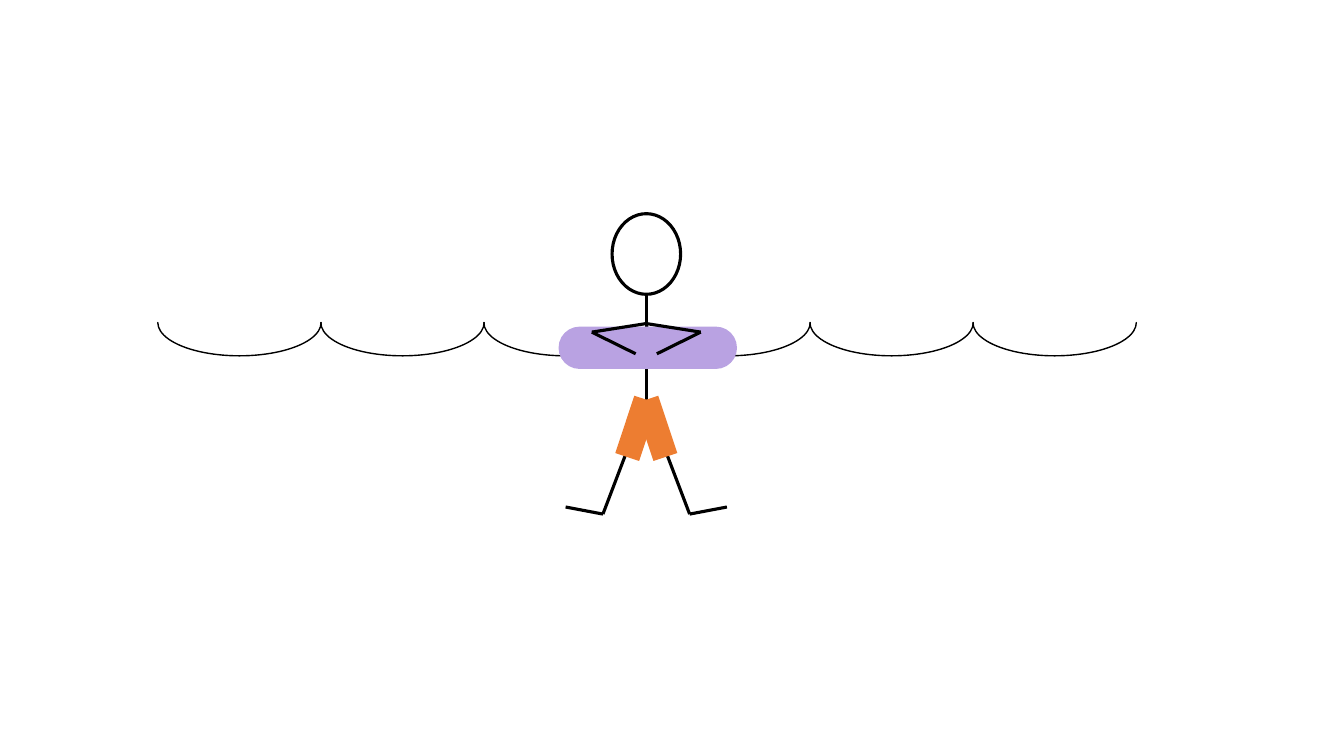
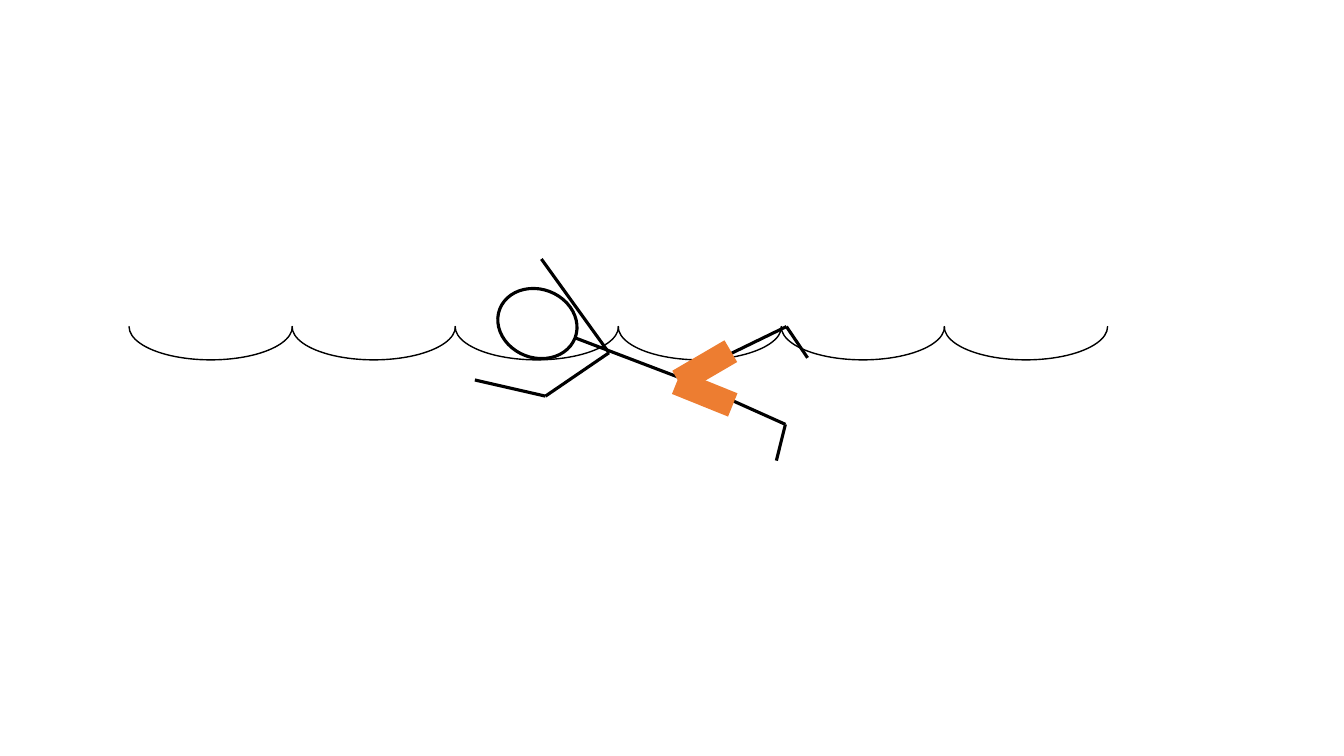
"""Build two slides of a stick figure swimming among waves."""
from lxml.etree import SubElement
from pptx import Presentation
from pptx.dml.color import RGBColor
from pptx.enum.shapes import MSO_CONNECTOR, MSO_SHAPE
from pptx.oxml.ns import qn
from pptx.util import Inches, Pt

THEME = {
    "ink": RGBColor.from_string("000000"),
    "shorts": RGBColor.from_string("ED7D31"),
    "ring": RGBColor.from_string("B9A2E2"),
    "wave_line": {"width": Pt(1)},
    "body_line": {"width": Pt(2.25)},
}

presentation = Presentation()
presentation.slide_width = Inches(13.33)
presentation.slide_height = Inches(7.5)
CELL = presentation.slide_height / 75
WAVE_COUNT, WAVE_PITCH = 6, 16.17
WAVE_SIZE, HEAD_SIZE, SHORTS_SIZE, RING_SIZE = (3.3, 16.2), (8, 6.8), (6, 2.5), (17.7, 4.2)


def add_part(parent, kind, center, size, rotation=0, fill=None, line_format=None):
    """Add a preset shape around its center, measured in grid cells."""
    left, top = (middle - extent / 2 for middle, extent in zip(center, size))
    box = [round(length * CELL) for length in (left, top, *size)]
    shape = parent.add_shape(kind, *box)
    shape.rotation = rotation
    shape.shadow.inherit = False
    if fill is None:
        shape.fill.background()
    else:
        shape.fill.solid()
        shape.fill.fore_color.rgb = fill
    if line_format is None:
        shape.line.fill.background()
    else:
        shape.line.color.rgb = THEME["ink"]
        for name, value in line_format.items():
            setattr(shape.line, name, value)
    return shape


def add_limb(parent, *joints):
    """Draw straight bones between successive joints, measured in grid cells."""
    for start, end in zip(joints, joints[1:]):
        ends = [round(length * CELL) for length in (*start, *end)]
        bone = parent.add_connector(MSO_CONNECTOR.STRAIGHT, *ends)
        bone.line.color.rgb = THEME["ink"]
        for name, value in THEME["body_line"].items():
            setattr(bone.line, name, value)
        SubElement(bone.element.spPr, qn("a:effectLst"))


AXIS = 64.1
SIDES = (-1, 1)
neck, waist = (57, 33.5), (67.5, 37.5)
scenes = [
    {"wave": (23.75, 33.65), "head": (AXIS, 25.2), "tilt": 90, "torso": ((AXIS, 29.2), (AXIS, 40.4))},
    {"wave": (20.9, 34.05), "head": (53.3, 32.1), "tilt": 20.8, "torso": (neck, waist)},
]
slides = []
for scene in scenes:
    slide = presentation.slides.add_slide(presentation.slide_layouts[6])
    slides.append(slide)
    water = slide.shapes.add_group_shape().shapes
    first_wave, water_row = scene["wave"]
    for index in range(WAVE_COUNT):
        center = (first_wave + index * WAVE_PITCH, water_row)
        wave = add_part(water, MSO_SHAPE.MOON, center, WAVE_SIZE, 270, THEME["ink"], THEME["wave_line"])
        wave.adjustments[0] = 0
    body = slide.shapes.add_group_shape().shapes
    add_part(body, MSO_SHAPE.OVAL, scene["head"], HEAD_SIZE, scene["tilt"], line_format=THEME["body_line"])
    add_limb(body, *scene["torso"])

floating, swimming = (slide.shapes for slide in slides)

leg_joints = ((0.15, 40.1), (4.3, 51), (8, 50.3))
arm_joints = ((0, 32.1), (5.4, 32.95), (1.05, 35.1))
shorts_offset, shorts_row, shorts_slant = 0.95, 42.5, 18.4
ring_center = (AXIS + 0.15, 34.5)

for side in SIDES:
    leg = floating.add_group_shape().shapes
    add_limb(leg, *((AXIS + side * offset, row) for offset, row in leg_joints))
for side in SIDES:
    center = (AXIS + side * shorts_offset, shorts_row)
    add_part(floating, MSO_SHAPE.RECTANGLE, center, SHORTS_SIZE, 90 - side * shorts_slant, THEME["shorts"])
ring = add_part(floating, MSO_SHAPE.ROUNDED_RECTANGLE, ring_center, RING_SIZE, fill=THEME["ring"])
ring.adjustments[0] = 0.5
for side in SIDES:
    arm = floating.add_group_shape().shapes
    add_limb(arm, *((AXIS + side * offset, row) for offset, row in arm_joints))

shoulder = (60.4, 35)
swimming_limbs = {
    "lower arm": (shoulder, (54.1, 39.3), (47.1, 37.7)),
    "raised arm": (shoulder, (53.7, 25.7)),
    "raised leg": (waist, (78, 32.4), (80.1, 35.5)),
    "lower leg": ((67.2, 37.3), (77.9, 42.1), (77, 45.7)),
}
for joints in swimming_limbs.values():
    add_limb(swimming, *joints)
shorts_column = 69.9
for row, rotation in ((36.35, 329.7), (39.05, 22)):
    add_part(swimming, MSO_SHAPE.RECTANGLE, (shorts_column, row), SHORTS_SIZE, rotation, THEME["shorts"])

presentation.save("out.pptx")
